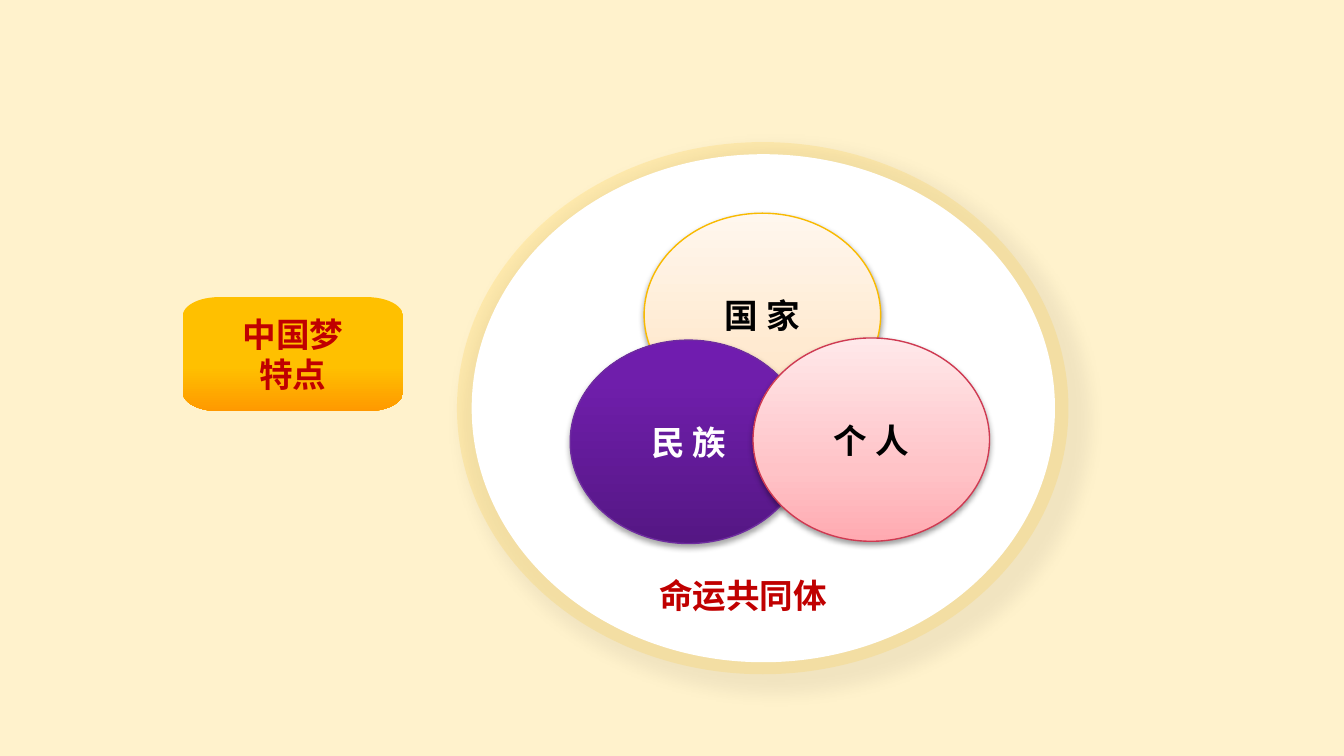
import math

from lxml import etree
from pptx import Presentation
from pptx import util as u
from pptx.dml.color import RGBColor
from pptx.enum import shapes, text
from pptx.oxml import ns

WIDTH = u.Inches(10)
HEIGHT = WIDTH * 9 // 16

CREAM = RGBColor(0xFF, 0xF2, 0xCC)
WHITE = RGBColor(0xFF, 0xFF, 0xFF)
BLACK = RGBColor(0x00, 0x00, 0x00)
RED = RGBColor(0xC0, 0x00, 0x00)
AMBER = RGBColor(0xFF, 0xBE, 0x00)
GOLD = RGBColor(0xFF, 0xC0, 0x00)
ORANGE = RGBColor(0xFF, 0x99, 0x00)
GOLD_LINE = RGBColor(0xF9, 0xBA, 0x00)
PURPLE_LINE = RGBColor(0x6E, 0x2C, 0x9F)
ROSE_LINE = RGBColor(0xCF, 0x3A, 0x52)
PEACHES = [(0, RGBColor(0xFF, 0xE2, 0xBD)), (35, RGBColor(0xFF, 0xEA, 0xD1)),
           (100, RGBColor(0xFF, 0xF7, 0xEE))]
PURPLES = [(0, RGBColor(0x55, 0x17, 0x84)), (80, RGBColor(0x6F, 0x1E, 0xAB)),
           (100, RGBColor(0x70, 0x1C, 0xAF))]
ROSES = [(0, RGBColor(0xFF, 0xAA, 0xB1)), (35, RGBColor(0xFF, 0xC3, 0xC7)),
         (100, RGBColor(0xFF, 0xE8, 0xEA))]
GOLDS = [(0, GOLD), (61, GOLD), (100, ORANGE)]

# Boxes in percent of the slide: left, top, width, height
OUTER = (34, 18.8, 45.5, 70.4)
INNER = (35.1, 20.4, 43.4, 67.2)
CIRCLE_SIZE = (17.6, 26.9)
CIRCLES = [
    ("国 家", (47.93, 28.2), PEACHES, GOLD_LINE, BLACK, (38, 3.1, 1.6, 90)),
    ("民 族", (42.43, 45), PURPLES, PURPLE_LINE, WHITE, (35, 3.1, 1.8, 90)),
    ("个 人", (56.03, 44.7), ROSES, ROSE_LINE, BLACK, (38, 3.1, 1.6, 90)),
]
BADGE = (13.6, 39.3, 16.4, 15.1)
BADGE_CORNER = (2.7, 2.5)
CAPTION = (41.45, 75.4, 27.7, 6.8)


def place(left, top, width, height):
    """Turn percentages of the slide into lengths."""
    return (round(left * WIDTH / 100), round(top * HEIGHT / 100),
            round(width * WIDTH / 100), round(height * HEIGHT / 100))


def add_xml(parent, tag, **attributes):
    return etree.SubElement(parent, ns.qn(tag), attributes)


def set_gradient(shape, stops, angle):
    """Fill with (percent, colour) stops; angle is counter-clockwise."""
    shape.fill.gradient()
    shape.fill.gradient_angle = angle
    stop_list = shape.element.spPr.find(".//" + ns.qn("a:gsLst"))
    for old_stop in list(stop_list):
        stop_list.remove(old_stop)
    for percent, color in stops:
        stop = add_xml(stop_list, "a:gs", pos=str(percent * 1000))
        add_xml(stop, "a:srgbClr", val=str(color))


def set_shadow(shape, opacity, blur, distance, direction, scale=100):
    effects = shape.element.spPr.find(ns.qn("a:effectLst"))
    shadow = add_xml(effects, "a:outerShdw", blurRad=str(u.Pt(blur)),
                     dist=str(u.Pt(distance)), dir=str(direction * 60000),
                     sx=str(scale * 1000), sy=str(scale * 1000),
                     algn="tl", rotWithShape="0")
    color = add_xml(shadow, "a:srgbClr", val=str(BLACK))
    add_xml(color, "a:alpha", val=str(opacity * 1000))


def set_text(shape, words, font_name, color):
    frame = shape.text_frame
    frame.word_wrap = True
    frame.text = words
    for paragraph in frame.paragraphs:
        paragraph.alignment = text.PP_ALIGN.CENTER
        for run in paragraph.runs:
            run.font.name = font_name
            run.font.size = u.Pt(18)
            run.font.bold = True
            run.font.color.rgb = color


def set_tight_margins(shape):
    frame = shape.text_frame
    frame.margin_left = frame.margin_right = u.Inches(0.07)
    frame.margin_top = frame.margin_bottom = u.Inches(0.04)


def add_ellipse(group, box):
    ellipse = group.shapes.add_shape(shapes.MSO_SHAPE.OVAL, *place(*box))
    ellipse.shadow.inherit = False
    ellipse.line.fill.background()
    return ellipse


def add_plate(slide):
    """White disc inside a translucent golden rim."""
    group = slide.shapes.add_group_shape()
    rim = add_ellipse(group, OUTER)
    rim.fill.solid()
    rim.fill.fore_color.rgb = AMBER
    color = rim.element.spPr.find(".//" + ns.qn("a:srgbClr"))
    add_xml(color, "a:alpha", val="15000")
    set_shadow(rim, 37, 9, 3, 45, scale=103)
    disc = add_ellipse(group, INNER)
    disc.fill.solid()
    disc.fill.fore_color.rgb = WHITE


def add_circles(slide):
    group = slide.shapes.add_group_shape()
    for words, corner, stops, line_color, text_color, shadow in CIRCLES:
        circle = add_ellipse(group, corner + CIRCLE_SIZE)
        set_gradient(circle, stops, 90)
        circle.line.color.rgb = line_color
        circle.line.width = u.Pt(0.75)
        set_shadow(circle, *shadow)
        set_text(circle, words, "Calibri", text_color)


def add_badge(slide):
    """Label whose corners are quarter ellipses."""
    left, top, width, height = place(*BADGE)
    radius_x, radius_y = place(0, 0, *BADGE_CORNER)[2:]
    points = []
    for quarter, (side_x, side_y) in enumerate([(1, 1), (-1, 1), (-1, -1), (1, -1)]):
        center_x = left + width / 2 + side_x * (width / 2 - radius_x)
        center_y = top + height / 2 + side_y * (height / 2 - radius_y)
        for step in range(13):
            angle = math.radians(90 * quarter + 7.5 * step)
            points.append((center_x + radius_x * math.cos(angle),
                           center_y + radius_y * math.sin(angle)))
    builder = slide.shapes.build_freeform(*points[0])
    builder.add_line_segments(points[1:], close=True)
    badge = builder.convert_to_shape()
    badge.shadow.inherit = False
    badge.line.fill.background()
    set_gradient(badge, GOLDS, 270)
    set_text(badge, "中国梦\n特点", "Noto Sans CJK SC", RED)
    set_tight_margins(badge)
    badge.text_frame.vertical_anchor = text.MSO_ANCHOR.MIDDLE


def add_caption(slide):
    caption = slide.shapes.add_textbox(*place(*CAPTION))
    set_text(caption, "命运共同体", "Arial", RED)
    set_tight_margins(caption)
    caption.text_frame.auto_size = text.MSO_AUTO_SIZE.SHAPE_TO_FIT_TEXT


def main():
    presentation = Presentation()
    presentation.slide_width, presentation.slide_height = WIDTH, HEIGHT
    slide = presentation.slides.add_slide(presentation.slide_layouts[6])
    slide.background.fill.solid()
    slide.background.fill.fore_color.rgb = CREAM

    add_plate(slide)
    add_circles(slide)
    add_badge(slide)
    add_caption(slide)
    presentation.save("out.pptx")


if __name__ == "__main__":
    main()
